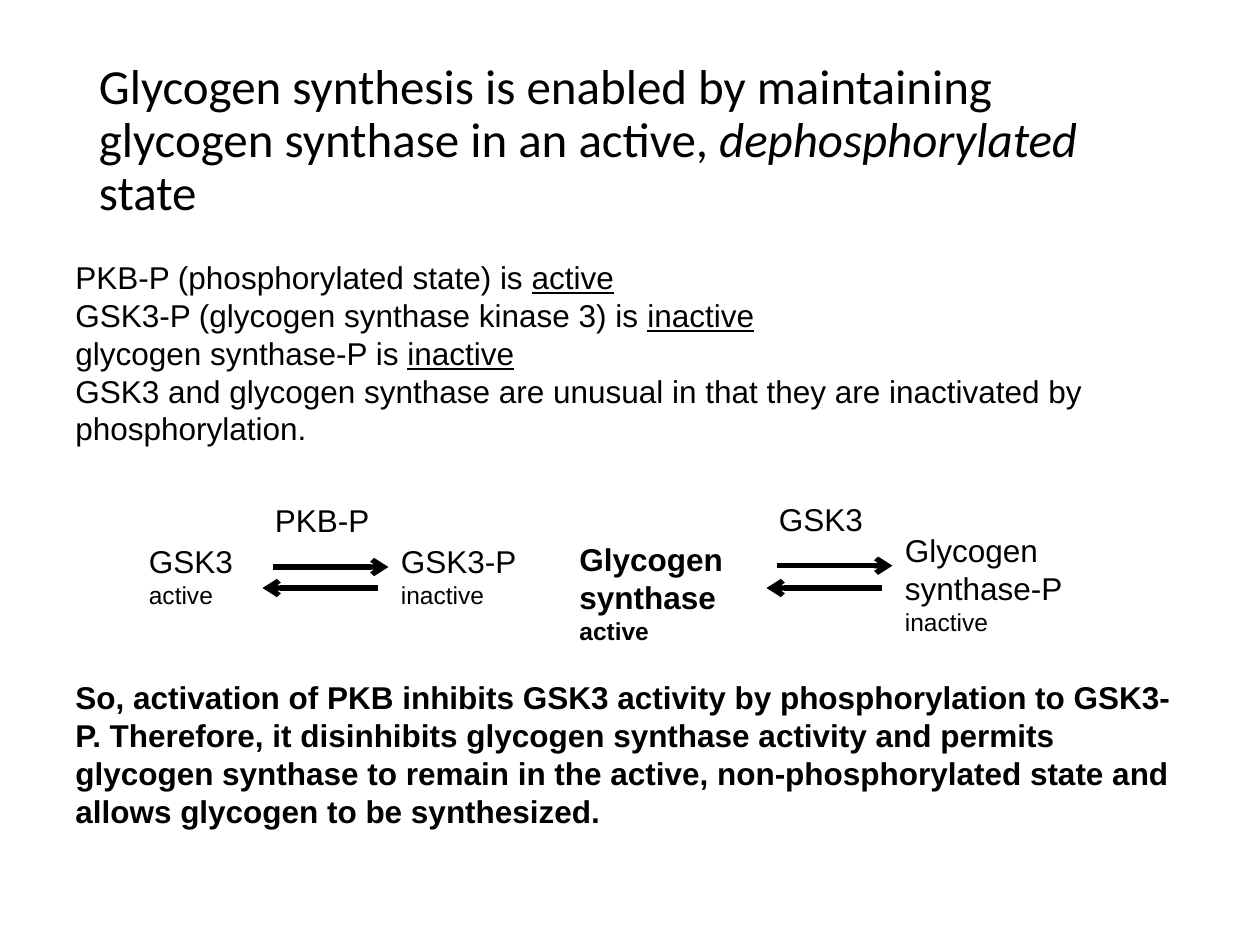
"""Builds a slide on how glycogen synthase is kept in its active state."""
from lxml import etree
from pptx import Presentation
from pptx.dml.color import RGBColor
from pptx.enum.shapes import MSO_CONNECTOR
from pptx.enum.text import MSO_ANCHOR, MSO_AUTO_SIZE
from pptx.oxml.ns import qn
from pptx.util import Pt

STRAIGHT = MSO_CONNECTOR.STRAIGHT
MIDDLE, TOP = MSO_ANCHOR.MIDDLE, MSO_ANCHOR.TOP
GROW, FIXED = MSO_AUTO_SIZE.SHAPE_TO_FIT_TEXT, MSO_AUTO_SIZE.NONE
COLOURS = {"text": "000000", "arrow": "000000", "background": "FFFFFF"}
BODY = {"name": "Arial", "size": Pt(18)}
SMALL = {"size": Pt(14)}
BOLD = {"bold": True}
UNDERLINED = {"underline": True}
TITLE = {"name": "Calibri", "size": Pt(28)}


def colour(name):
    return RGBColor.from_string(COLOURS[name])


def add_text(slide, box, paragraphs, base=BODY, anchor=TOP, auto_size=GROW, line_spacing=None):
    """Add a text box; each paragraph is a list of (text, format) runs."""
    shape = slide.shapes.add_textbox(*map(Pt, box))
    frame = shape.text_frame
    settings = {"word_wrap": True, "auto_size": auto_size, "vertical_anchor": anchor}
    for name, value in settings.items():
        setattr(frame, name, value)
    for index, runs in enumerate(paragraphs):
        paragraph = frame.add_paragraph() if index else frame.paragraphs[0]
        paragraph.line_spacing = line_spacing
        for text, changes in runs:
            run = paragraph.add_run()
            run.text = text
            run.font.color.rgb = colour("text")
            for name, value in {**base, **changes}.items():
                setattr(run.font, name, value)


def add_arrow(slide, start, end, y):
    """Add a horizontal arrow pointing at end."""
    connector = slide.shapes.add_connector(STRAIGHT, Pt(start), Pt(y), Pt(end), Pt(y))
    connector.line.width = Pt(3)
    connector.line.color.rgb = colour("arrow")
    etree.SubElement(connector.line._get_or_add_ln(), qn("a:tailEnd"), type="arrow")
    etree.SubElement(connector._element.spPr, qn("a:effectLst"))


def add_reaction(slide, left, enzyme, enzyme_top, forward_y, substrate, product):
    """Add a reversible reaction with its enzyme above the arrows."""
    add_text(slide, (left, enzyme_top, 72, 29), [[(enzyme, {})]])
    for box, name, state, style in (substrate, product):
        add_text(slide, box, [[(name, style)], [(state, {**style, **SMALL})]])
    add_arrow(slide, left + 6, left + 72, forward_y)
    add_arrow(slide, left + 66, left, 336)


def main():
    presentation = Presentation()
    presentation.slide_width, presentation.slide_height = Pt(720), Pt(540)
    slide = presentation.slides.add_slide(presentation.slide_layouts[6])
    slide.background.fill.solid()
    slide.background.fill.fore_color.rgb = colour("background")

    add_text(slide, (49.5, 28.75, 621, 104.4), [[
        ("Glycogen synthesis is enabled by maintaining glycogen synthase in an active, ", {}),
        ("dephosphorylated", {"italic": True}),
        (" state", {}),
    ]], TITLE, MIDDLE, FIXED, 0.9)

    add_text(slide, (36, 144, 648, 116.6), [
        [("PKB-P (phosphorylated state) is ", {}), ("active", UNDERLINED)],
        [("GSK3-P (glycogen synthase kinase 3) is ", {}), ("inactive", UNDERLINED)],
        [("glycogen synthase-P is ", {}), ("inactive", UNDERLINED)],
        [("GSK3 and glycogen synthase are unusual in that they are "
          "inactivated by phosphorylation.", {})],
    ])

    add_reaction(slide, 150, "PKB-P", 283, 324,
                 ((78, 306, 78, 46), "GSK3", "active", {}),
                 ((222, 306, 90, 46), "GSK3-P", "inactive", {}))
    add_reaction(slide, 438, "GSK3", 282.25, 323.25,
                 ((324, 305.25, 120, 68), "Glycogen synthase", "active", BOLD),
                 ((510, 300, 120, 68), "Glycogen synthase-P", "inactive", {}))

    add_text(slide, (36, 384, 654, 93.6), [[
        ("So, activation of PKB inhibits GSK3 activity by phosphorylation to GSK3-P. "
         "Therefore, it disinhibits glycogen synthase activity and permits glycogen "
         "synthase to remain in the active, non-phosphorylated state and allows "
         "glycogen to be synthesized.", BOLD),
    ]])
    presentation.save("out.pptx")


if __name__ == "__main__":
    main()
